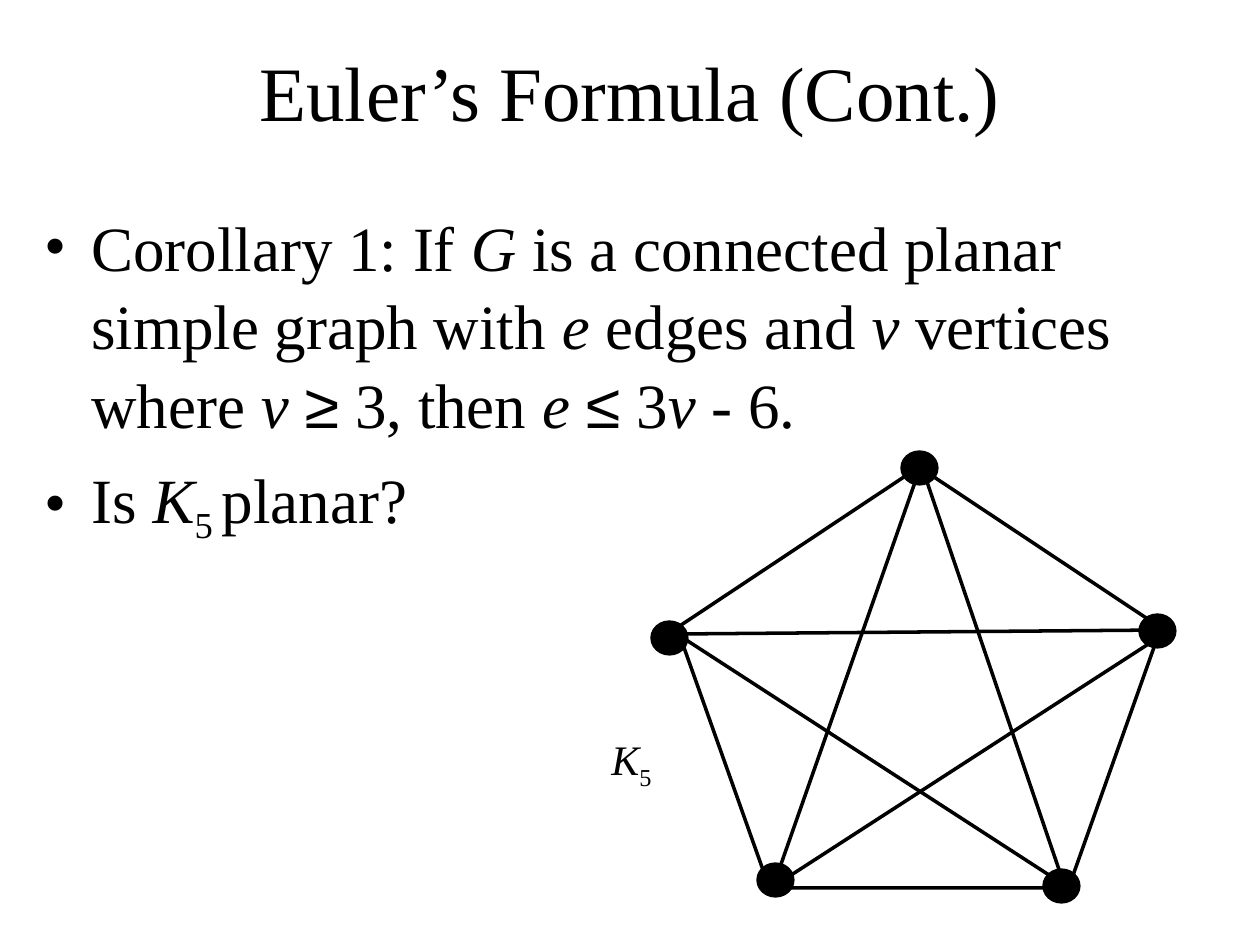
from lxml.etree import SubElement
from pptx import Presentation
from pptx.dml.color import RGBColor
from pptx.enum.shapes import MSO_CONNECTOR, MSO_SHAPE
from pptx.enum.text import MSO_ANCHOR, PP_ALIGN
from pptx.oxml.ns import qn
from pptx.util import Pt

PX = 914400 // 126
THEME = {
    "ink": RGBColor(0, 0, 0),
    "font": "Times New Roman", "symbol_font": "Arial",
    "title": 44, "body": 36, "label": 24,
    "edge": 2, "outline": 0.75, "line_spacing": 1.04,
}


def add_text(box, size, paragraphs, **formats):
    """Each paragraph is a list of (text, style); style is "", "i", "sub" or "symbol"."""
    left, top, width, height = (value * PX for value in box)
    frame = slide.shapes.add_textbox(left, top, width, height).text_frame
    frame.word_wrap = True
    for index, runs in enumerate(paragraphs):
        paragraph = frame.paragraphs[0] if index == 0 else frame.add_paragraph()
        for name, value in {"line_spacing": THEME["line_spacing"], **formats}.items():
            setattr(paragraph, name, value)
        for text, style in runs:
            run = paragraph.add_run()
            run.text = text
            values = {
                "name": THEME["symbol_font" if style == "symbol" else "font"],
                "size": Pt(size),
                "italic": style == "i",
            }
            for name, value in values.items():
                setattr(run.font, name, value)
            run.font.color.rgb = THEME["ink"]
            if style == "sub":
                run._r.get_or_add_rPr().set("baseline", "-25000")
    return frame


def add_outline(kind, left, top, width, height, weight):
    shape = graph.shapes.add_shape(kind, left * PX, top * PX, width * PX, height * PX)
    shape.shadow.inherit = False
    shape.line.color.rgb = THEME["ink"]
    shape.line.width = Pt(weight)
    return shape


presentation = Presentation()
presentation.slide_width = 1260 * PX
presentation.slide_height = 945 * PX
slide = presentation.slides.add_slide(presentation.slide_layouts[6])

# Title
title = add_text((63, 21, 1134, 136), THEME["title"],
                 [[("Euler’s Formula (Cont.)", "")]], alignment=PP_ALIGN.CENTER)
title.vertical_anchor = MSO_ANCHOR.MIDDLE

# Corollary and question
body = add_text((32, 199, 1187, 346), THEME["body"], [
    [("Corollary 1: If ", ""), ("G", "i"),
     (" is a connected planar simple graph with ", ""), ("e", "i"),
     (" edges and ", ""), ("v", "i"), (" vertices where ", ""), ("v ", "i"),
     ("≥", "symbol"), (" 3, then ", ""), ("e ", "i"), ("≤", "symbol"),
     (" 3", ""), ("v", "i"), (" - 6.", "")],
    [("Is ", ""), ("K", "i"), ("5 ", "sub"), ("planar?", "")],
])
body.paragraphs[1].space_before = Pt(9)
for paragraph in body.paragraphs:
    properties = paragraph._p.get_or_add_pPr()
    properties.set("marL", str(47 * PX))
    properties.set("indent", str(-47 * PX))
    SubElement(properties, qn("a:buFont"), typeface=THEME["font"])
    SubElement(properties, qn("a:buChar"), char="•")

# Complete graph: outer edges
graph = slide.shapes.add_group_shape()
pentagon = add_outline(MSO_SHAPE.REGULAR_PENTAGON, 677, 467, 484, 421, THEME["edge"])
pentagon.fill.background()

# Inner edges
for ends in [(677, 634, 1066, 886), (680, 634, 1168, 630), (919, 471, 772, 890),
             (922, 467, 1066, 890), (1164, 634, 765, 892)]:
    edge = graph.shapes.add_connector(MSO_CONNECTOR.STRAIGHT, *(value * PX for value in ends))
    edge.line.color.rgb = THEME["ink"]
    edge.line.width = Pt(THEME["edge"])
    SubElement(edge._element.spPr, qn("a:effectLst"))

# Vertices
for left, top in [(901, 451), (1139, 614), (651, 621), (1043, 869), (757, 863)]:
    vertex = add_outline(MSO_SHAPE.OVAL, left, top, 37, 34, THEME["outline"])
    vertex.fill.solid()
    vertex.fill.fore_color.rgb = THEME["ink"]

# Graph label
add_text((599, 725, 105, 71), THEME["label"], [[("K", "i"), ("5", "sub")]])

presentation.save("out.pptx")
